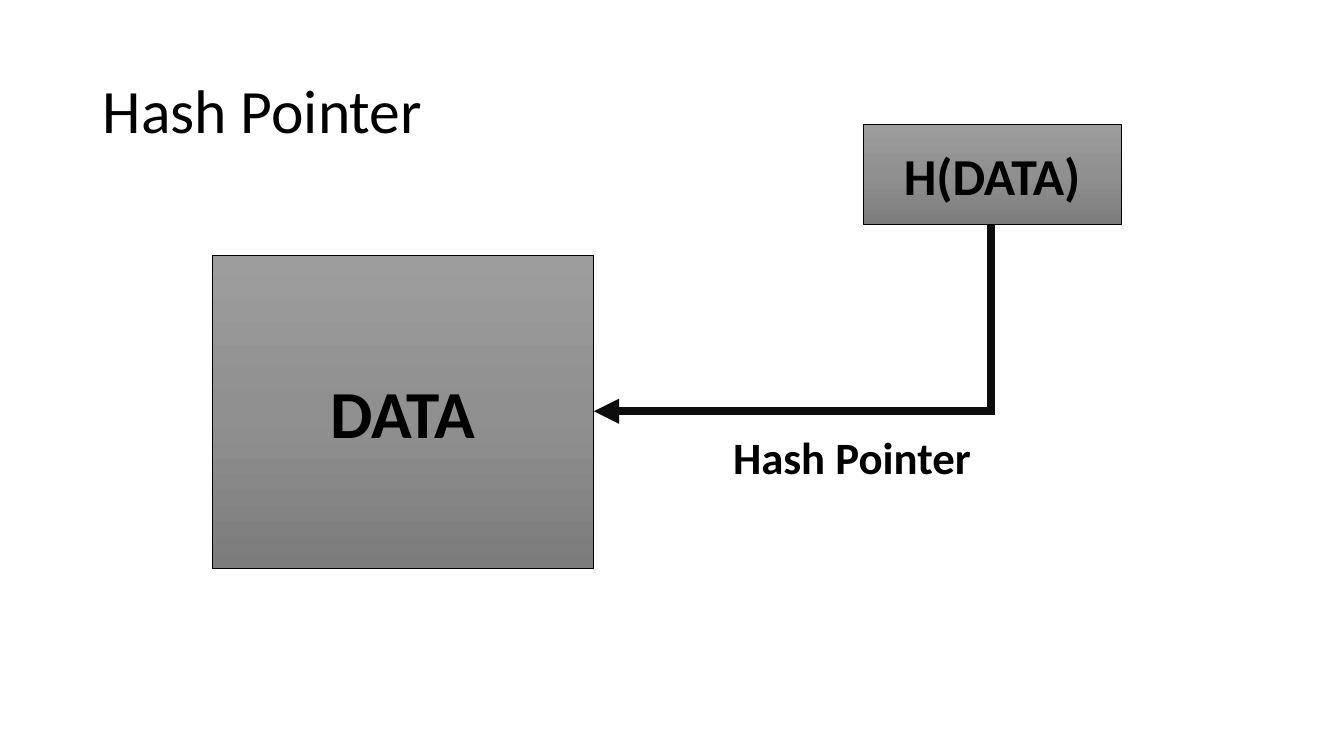
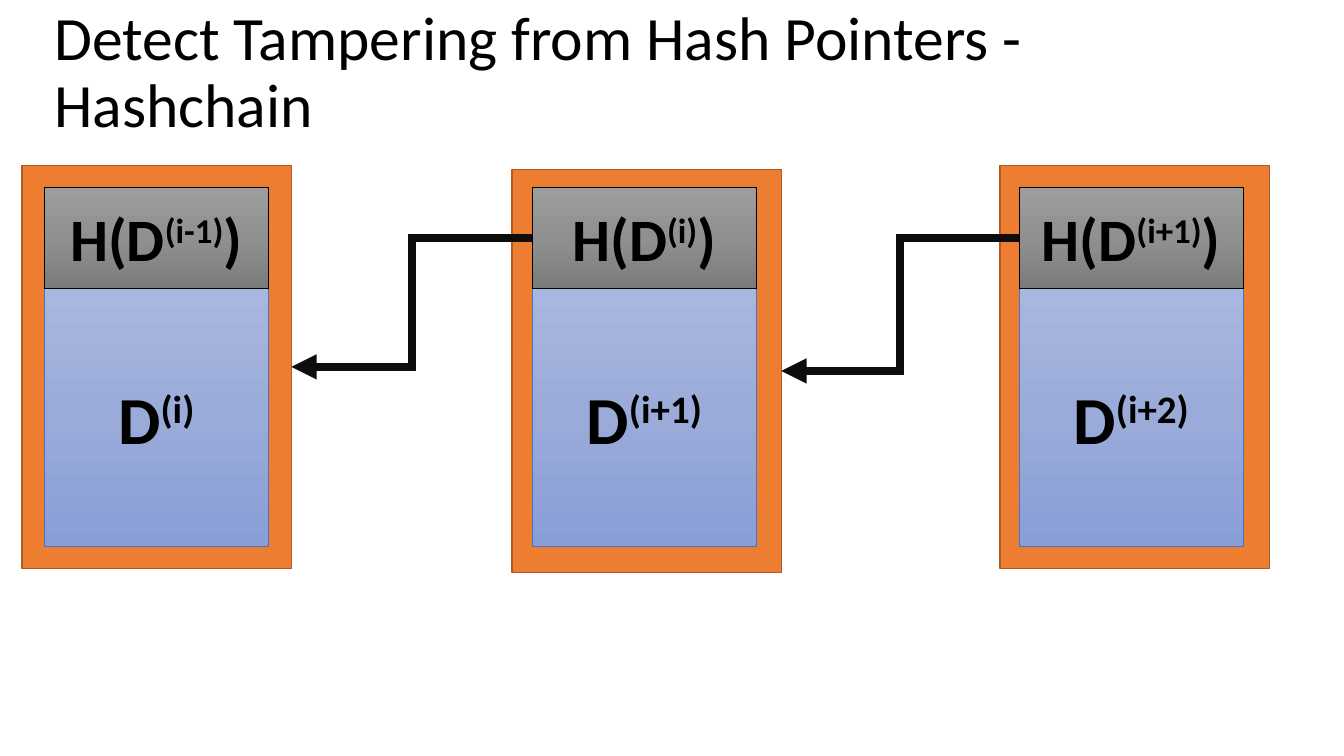
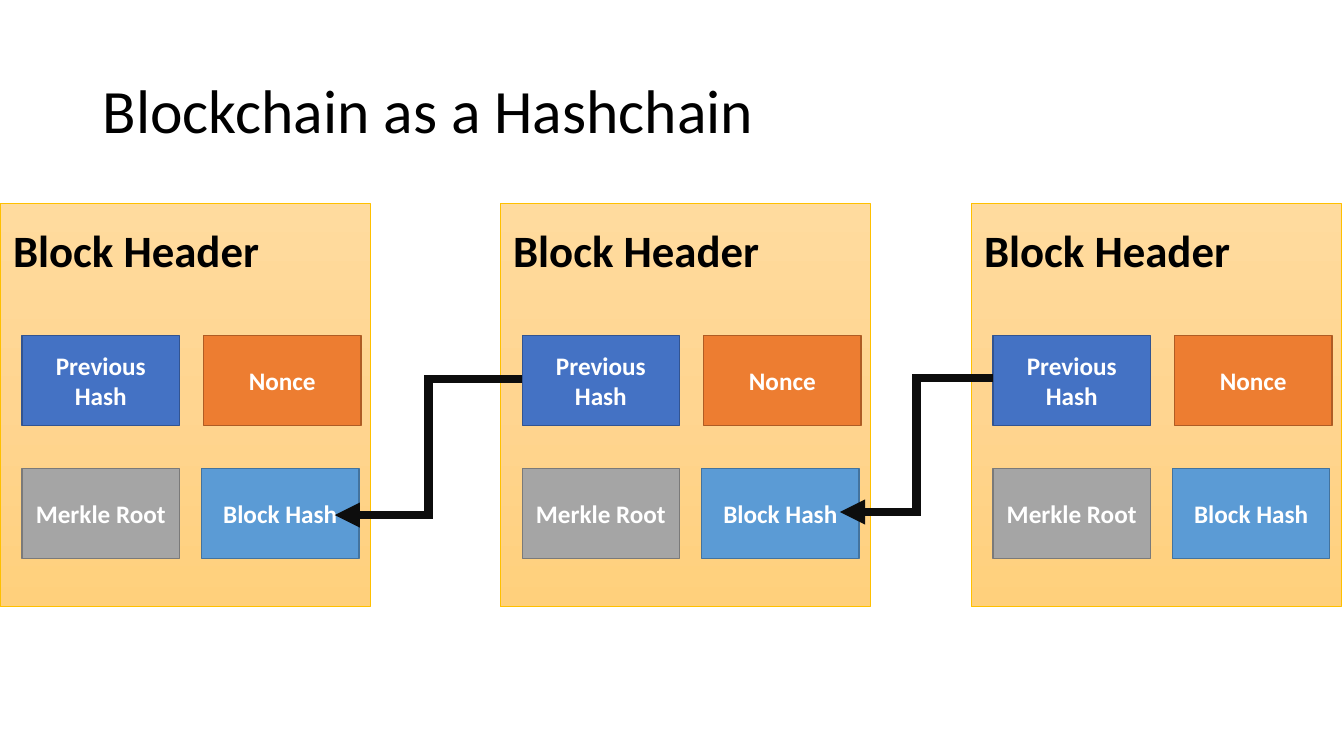
"""Build three slides on hash pointers, hashchains and blockchains."""
from copy import deepcopy
from dataclasses import dataclass
from typing import NamedTuple

from lxml import etree
from pptx import Presentation
from pptx.dml.color import RGBColor
from pptx.enum.shapes import MSO_CONNECTOR, MSO_SHAPE
from pptx.enum.text import MSO_ANCHOR, MSO_AUTO_SIZE, PP_ALIGN
from pptx.oxml.ns import qn
from pptx.util import Inches, Pt

RECT = MSO_SHAPE.RECTANGLE
ELBOW = MSO_CONNECTOR.ELBOW
TOP, MIDDLE = MSO_ANCHOR.TOP, MSO_ANCHOR.MIDDLE
LEFT, CENTER = PP_ALIGN.LEFT, PP_ALIGN.CENTER
GROW = MSO_AUTO_SIZE.SHAPE_TO_FIT_TEXT

FONT = "Calibri"
COLORS = {
    "black": "000000", "white": "FFFFFF", "arrow": "0D0D0D",
    "gray_light": "9D9D9D", "gray_mid": "909090", "gray_dark": "7C7C7C",
    "sky_light": "A8B7DF", "sky_mid": "9AABD9", "sky_dark": "889ED7",
    "sand_light": "FFDB9E", "sand_mid": "FFD590", "sand_dark": "FFD07C",
    "gold": "FFC000", "blue": "4472C4", "blue_edge": "325491",
    "orange": "ED7D31", "orange_edge": "AF5C24",
    "silver": "A5A5A5", "silver_edge": "7A7A7A",
    "azure": "5B9BD5", "azure_edge": "43739E",
}


class Style(NamedTuple):
    """Fill colours (one is solid, three are a gradient) and outline."""
    fills: tuple[str, ...]
    line: str
    width: float


HASH = Style(("gray_light", "gray_mid", "gray_dark"), "black", 0.5)
DATA = Style(("sky_light", "sky_mid", "sky_dark"), "blue", 0.5)
HEADER = Style(("sand_light", "sand_mid", "sand_dark"), "gold", 0.5)
BLUE = Style(("blue",), "blue_edge", 1)
ORANGE = Style(("orange",), "orange_edge", 1)
SILVER = Style(("silver",), "silver_edge", 1)
AZURE = Style(("azure",), "azure_edge", 1)


@dataclass(frozen=True)
class Block:
    """One block of the hashchain."""
    frame_x: float
    frame_y: float
    x: float
    prev: str
    index: str


@dataclass(frozen=True)
class Field:
    """One field of a block header, placed from the block's left edge."""
    text: str
    dx: float
    y: float
    style: Style


BLOCKS = (
    Block(0.22, 1.64, 0.44, "i-1", "i"),
    Block(5.08, 1.68, 5.28, "i", "i+1"),
    Block(9.92, 1.64, 10.11, "i+1", "i+2"),
)
FRAME_W, FRAME_H = 2.67, 4
CELL_W, HASH_Y, HASH_H, DATA_H = 2.22, 1.86, 1, 2.56

FIELDS = (
    Field("Previous Hash", 0.22, 3.33, BLUE),
    Field("Nonce", 2.02, 3.33, ORANGE),
    Field("Merkle Root", 0.22, 4.65, SILVER),
    Field("Block Hash", 2, 4.65, AZURE),
)
HEADER_XS = (0, 4.96, 9.63)
HEADER_ARROWS = ((9.85, 3.75, 8.33, 5.08), (5.18, 3.76, 3.32, 5.11))


def rgb(name: str) -> RGBColor:
    """Return a named colour."""
    return RGBColor.from_string(COLORS[name])


def write(sp, text: str, *, size: float, color: str = "black", bold: bool = True,
          align=CENTER, anchor=MIDDLE, wrap: bool = True,
          inset: tuple[float, float] = (0.13, 0.07), spacing: float = 1.0) -> None:
    """Write text into a shape; parts between carets are superscript."""
    tf = sp.text_frame
    tf.word_wrap, tf.vertical_anchor = wrap, anchor
    tf.margin_left = tf.margin_right = Inches(inset[0])
    tf.margin_top = tf.margin_bottom = Inches(inset[1])
    p = tf.paragraphs[0]
    p.alignment, p.line_spacing = align, spacing
    for i, part in enumerate(text.split("^")):
        if not part:
            continue
        r = p.add_run()
        r.text = part
        r.font.name, r.font.size, r.font.bold = FONT, Pt(size), bold
        r.font.color.rgb = rgb(color)
        if i % 2:
            r.font._element.set("baseline", "30000")


def add_box(s, x: float, y: float, w: float, h: float, style: Style):
    """Add a rectangle with a solid or three-stop gradient fill."""
    sp = s.shapes.add_shape(RECT, Inches(x), Inches(y), Inches(w), Inches(h))
    sp.shadow.inherit = False
    fill = sp.fill
    if len(style.fills) == 1:
        fill.solid()
        fill.fore_color.rgb = rgb(style.fills[0])
    else:
        fill.gradient()
        fill.gradient_angle = 270
        stops = sp._element.spPr.find(".//" + qn("a:gsLst"))
        stops.insert(1, deepcopy(stops[0]))
        for i, (stop, name) in enumerate(zip(fill.gradient_stops, style.fills)):
            stop.position = i / 2
            stop.color.rgb = rgb(name)
    sp.line.color.rgb = rgb(style.line)
    sp.line.width = Pt(style.width)
    return sp


def add_text(s, x: float, y: float, w: float, h: float, text: str, **fmt):
    """Add a text box."""
    sp = s.shapes.add_textbox(Inches(x), Inches(y), Inches(w), Inches(h))
    write(sp, text, **fmt)
    return sp


def add_label(s, x: float, y: float, w: float, text: str) -> None:
    """Add a bold one-line label."""
    sp = add_text(s, x, y, w, 0.67, text, size=32, align=LEFT, anchor=TOP, wrap=False)
    sp.text_frame.auto_size = GROW


def add_title(s, text: str, x: float = 0.92, y: float = 0.4, w: float = 11.5) -> None:
    """Add the slide title."""
    add_text(s, x, y, w, 1.45, text, size=44, bold=False, align=LEFT,
             inset=(0.1, 0.05), spacing=0.9)


def add_arrow(s, x1: float, y1: float, x2: float, y2: float):
    """Add a thick elbow arrow."""
    c = s.shapes.add_connector(ELBOW, Inches(x1), Inches(y1), Inches(x2), Inches(y2))
    c.line.color.rgb = rgb("arrow")
    c.line.width = Pt(6)
    spPr = c._element.spPr
    ln = spPr.find(qn("a:ln"))
    etree.SubElement(ln, qn("a:miter"), lim="800000")
    etree.SubElement(ln, qn("a:tailEnd"), type="triangle")
    etree.SubElement(spPr, qn("a:effectLst"))
    return c


def add_corner_arrow(s, x1: float, y1: float, x2: float, y2: float) -> None:
    """Add an arrow that runs down and then left, as a quarter-turned elbow."""
    cx, cy = (x1 + x2) / 2, (y1 + y2) / 2
    dx, dy = (y2 - y1) / 2, (x1 - x2) / 2
    spPr = add_arrow(s, cx - dx, cy - dy, cx + dx, cy + dy)._element.spPr
    spPr.find(qn("a:xfrm")).set("rot", "5400000")
    spPr.find(qn("a:prstGeom")).set("prst", "bentConnector2")


def build_pointer(s) -> None:
    """Draw a hash pointing at its data."""
    add_title(s, "Hash Pointer")
    write(add_box(s, 2.11, 2.53, 3.78, 3.11, HASH), "DATA", size=48)
    write(add_box(s, 8.56, 1.23, 2.56, 1, HASH), "H(DATA)", size=37)
    add_corner_arrow(s, 9.83, 2.23, 5.89, 4.08)
    add_label(s, 7.14, 4.19, 2.65, "Hash Pointer")


def build_hashchain(s) -> None:
    """Draw blocks that each hold the hash of the block before."""
    for b in BLOCKS:
        add_box(s, b.frame_x, b.frame_y, FRAME_W, FRAME_H, ORANGE)
    add_title(s, "Detect Tampering from Hash Pointers - Hashchain", 0.44, 0.01, 12.42)
    for b in BLOCKS:
        data = add_box(s, b.x, HASH_Y + HASH_H, CELL_W, DATA_H, DATA)
        write(data, f"D^({b.index})^", size=48)
        head = add_box(s, b.x, HASH_Y, CELL_W, HASH_H, HASH)
        write(head, f"H(D^({b.prev})^)", size=43)
    for before, b in zip(BLOCKS, BLOCKS[1:]):
        add_arrow(s, b.x, HASH_Y + HASH_H / 2,
                  before.frame_x + FRAME_W, before.frame_y + FRAME_H / 2)


def build_blockchain(s) -> None:
    """Draw block headers linked by their previous hash."""
    add_title(s, "Blockchain as a Hashchain")
    for x in HEADER_XS:
        add_box(s, x, 2.02, 3.67, 4, HEADER)
        add_label(s, x, 2.14, 2.73, "Block Header")
        for f in FIELDS:
            sp = add_box(s, x + f.dx, f.y, 1.56, 0.89, f.style)
            write(sp, f.text, size=18, color="white")
    for ends in HEADER_ARROWS:
        add_arrow(s, *ends)


def main() -> None:
    """Build and save the presentation."""
    prs = Presentation()
    prs.slide_width, prs.slide_height = Inches(13.33), Inches(7.5)
    for build in (build_pointer, build_hashchain, build_blockchain):
        build(prs.slides.add_slide(prs.slide_layouts[6]))
    prs.save("out.pptx")


if __name__ == "__main__":
    main()
